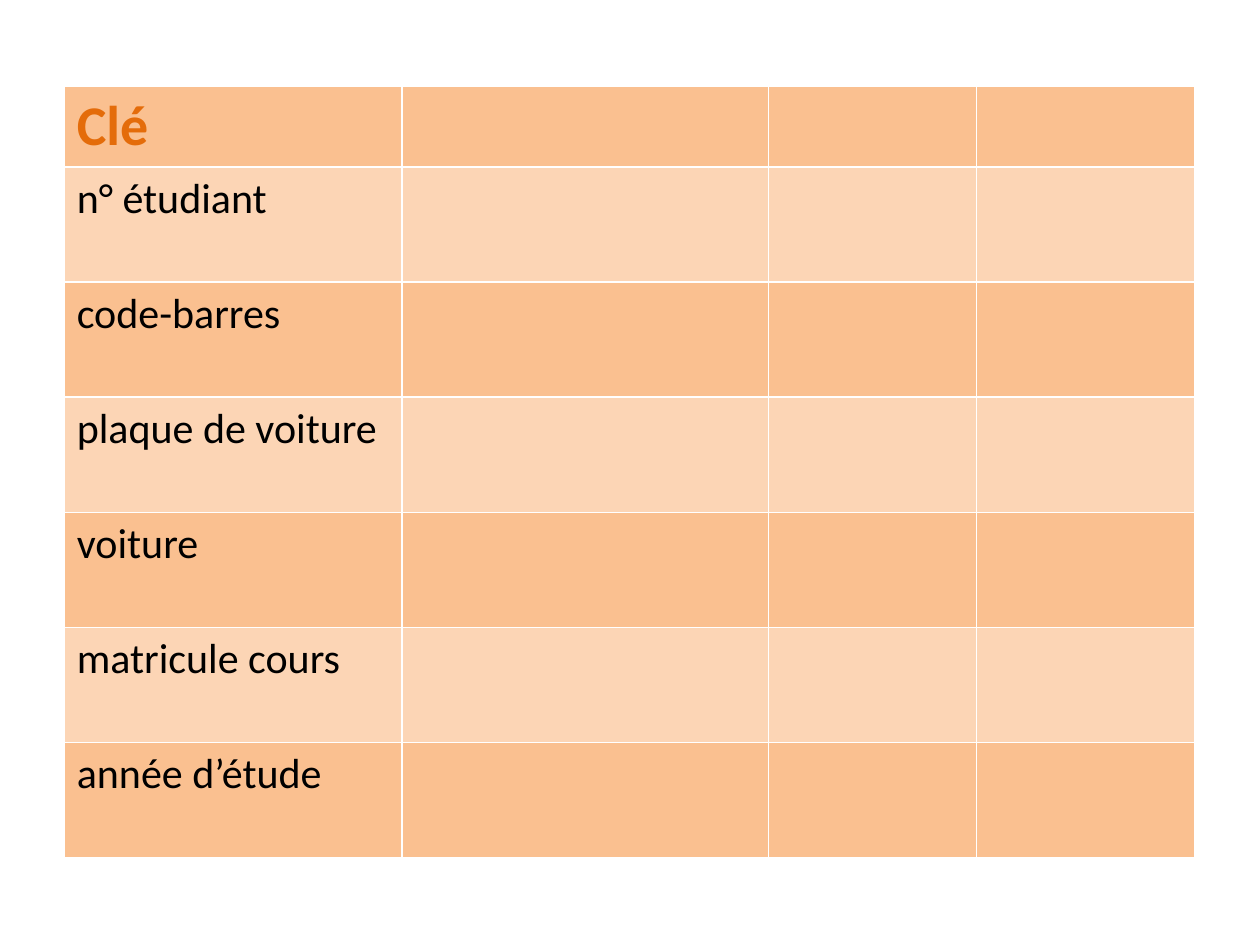
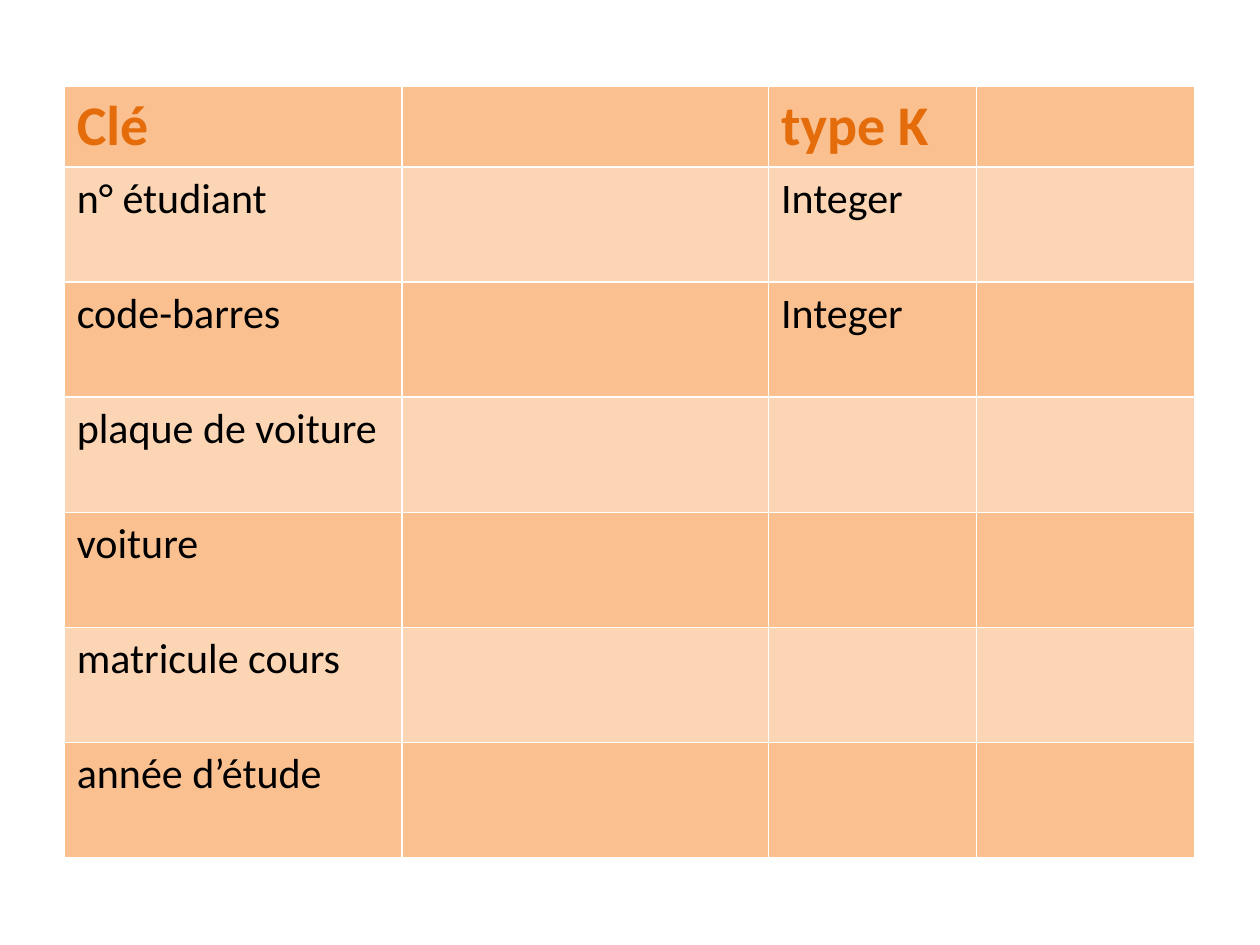
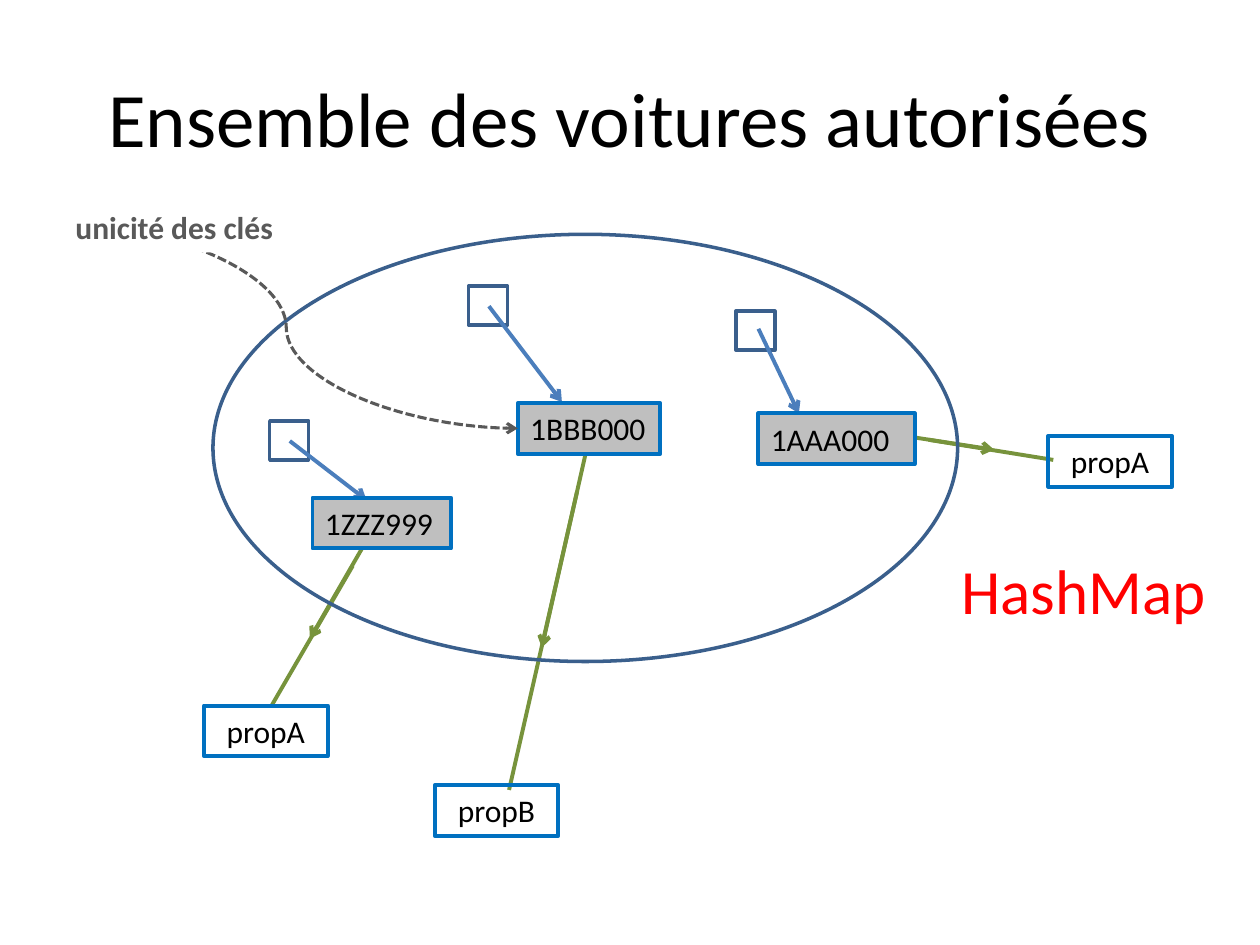
from dataclasses import dataclass

from lxml import etree
from pptx import Presentation
from pptx.dml.color import RGBColor
from pptx.enum.dml import MSO_LINE
from pptx.enum.shapes import MSO_CONNECTOR, MSO_SHAPE
from pptx.enum.text import MSO_ANCHOR, MSO_AUTO_SIZE, PP_ALIGN
from pptx.oxml.ns import qn
from pptx.util import Pt

STRAIGHT, CURVE = MSO_CONNECTOR.STRAIGHT, MSO_CONNECTOR.CURVE
OVAL, RECTANGLE = MSO_SHAPE.OVAL, MSO_SHAPE.RECTANGLE
LEFT, CENTER = PP_ALIGN.LEFT, PP_ALIGN.CENTER
MIDDLE, FIT_SHAPE = MSO_ANCHOR.MIDDLE, MSO_AUTO_SIZE.SHAPE_TO_FIT_TEXT
DASHED = MSO_LINE.SQUARE_DOT
TITLE_ONLY, BLANK = 5, 6

COLORS = {
    "text": "000000",
    "paper": "FFFFFF",
    "header": "E46C0A",
    "dark_band": "FAC090",
    "light_band": "FCD5B5",
    "set": "3A5F8C",
    "pointer": "4B7EBC",
    "link": "77933C",
    "tag_line": "0070C0",
    "plate": "BFBFBF",
    "note": "595959",
    "class": "FF0000",
}
BODY = {"size": 24, "bold": False, "color": "text"}
HEADER = {"size": 32, "bold": True, "color": "header"}
TITLE = {"size": 44, "bold": False, "color": "text"}
TAG = {"size": 18, "bold": False, "color": "text"}
NOTE = {"size": 18, "bold": True, "color": "note"}
CLASS_NAME = {"size": 36, "bold": False, "color": "class"}

TABLE_BOX = (36.7, 49, 646, 441)
COLUMN_WIDTHS = (193, 209.5, 118.8, 124.7)
HEADER_HEIGHT = 46.2
KEYS = ("n° étudiant", "code-barres", "plaque de voiture", "voiture",
        "matricule cours", "année d’étude")

TITLE_BOX = (36, 21.6, 648, 90)
DIAGRAM_ORIGIN = (36, 115.2)
SQUARE_SIDE, TAG_HEIGHT, OWNER_WIDTH = 22.3, 29, 70.6


@dataclass
class Car:
    """Points are relative to the diagram; lines are (x1, y1, x2, y2)."""
    plate: str
    plate_at: tuple
    plate_width: float
    square_at: tuple
    pointer: tuple
    owner: str
    owner_at: tuple
    link_arrow: tuple
    link_line: tuple


CARS = (
    Car("1ZZZ999", (142.6, 169.2), 79.2, (118.1, 125.3),
        (129.6, 136.8, 173.5, 170.6), "propA", (80.6, 288),
        (171.4, 197.3, 141.1, 249.8), (165.6, 208.1, 118.8, 288.7)),
    Car("1BBB000", (259.9, 115.2), 81.4, (231.8, 48.2),
        (243.4, 59.8, 285.1, 114.5), "propB", (212.4, 333.4),
        (298.8, 143.3, 273.6, 254.9), (293.8, 165.6, 254.9, 336.2)),
    Car("1AAA000", (397.4, 121), 89.3, (384.5, 62.6),
        (397.4, 72.7, 420.5, 121), "propA", (563, 133.9),
        (485.3, 134.6, 532.1, 141.8), (494.6, 136.1, 565.9, 147.6)),
)


def rgb(name):
    return RGBColor.from_string(COLORS[name])


def points(values):
    return [Pt(value) for value in values]


def write(frame, text, style, align=LEFT):
    frame.text = text
    paragraph = frame.paragraphs[0]
    paragraph.alignment = align
    font = paragraph.runs[0].font
    formats = {"name": "Calibri", "size": Pt(style["size"]), "bold": style["bold"]}
    for attribute, value in formats.items():
        setattr(font, attribute, value)
    font.color.rgb = rgb(style["color"])


def fill_with(item, color):
    item.fill.solid()
    item.fill.fore_color.rgb = rgb(color)


def outline(item, color, width):
    item.line.color.rgb = rgb(color)
    item.line.width = Pt(width)


def key_table(slide, box, columns):
    """Columns map a column index to its (heading, entries)."""
    left, top, width, height = box
    table = slide.shapes.add_table(len(KEYS) + 1, len(COLUMN_WIDTHS),
                                   *points(box)).table
    for column, column_width in zip(table.columns, COLUMN_WIDTHS):
        column.width = Pt(column_width)
    for index, row in enumerate(table.rows):
        row.height = Pt((height - HEADER_HEIGHT) / len(KEYS) if index else HEADER_HEIGHT)
        for cell in row.cells:
            fill_with(cell, "light_band" if index % 2 else "dark_band")
    for index, (heading, entries) in columns.items():
        write(table.cell(0, index).text_frame, heading, HEADER)
        for row, entry in enumerate(entries, start=1):
            write(table.cell(row, index).text_frame, entry, BODY)


def hollow_shape(slide, kind, box):
    shape = slide.shapes.add_shape(kind, *points(box))
    shape.shadow.inherit = False
    shape.fill.background()
    outline(shape, "set", 2)


def text_box(slide, box, text, style, align=LEFT, wrap=True):
    label = slide.shapes.add_textbox(*points(box))
    label.text_frame.word_wrap = wrap
    label.text_frame.auto_size = FIT_SHAPE
    write(label.text_frame, text, style, align)
    return label


def draw_line(shapes, ends, color, width=2.25, arrow=True, kind=STRAIGHT):
    line = shapes.add_connector(kind, *points(ends))
    outline(line, color, width)
    properties = line._element.spPr
    etree.SubElement(properties, qn("a:effectLst"))
    if arrow:
        etree.SubElement(line.line._get_or_add_ln(), qn("a:tailEnd"), type="arrow")
    return line


def car_set(slide, origin):
    """Set of cars, each plate pointing to its owner."""
    x0, y0 = origin

    def box(x, y, width, height):
        return x0 + x, y0 + y, width, height

    def ends(x1, y1, x2, y2):
        return x0 + x1, y0 + y1, x0 + x2, y0 + y2

    for car in CARS:
        link = slide.shapes.add_group_shape()
        draw_line(link.shapes, ends(*car.link_arrow), "link")
        draw_line(link.shapes, ends(*car.link_line), "link", arrow=False)

    text_box(slide, box(506.2, 196.6, 155.5, 51.1), "HashMap", CLASS_NAME, wrap=False)
    hollow_shape(slide, OVAL, box(85.7, 18.7, 425.5, 244.1))
    for car in CARS:
        hollow_shape(slide, RECTANGLE, box(*car.square_at, SQUARE_SIDE, SQUARE_SIDE))
        draw_line(slide.shapes, ends(*car.pointer), "pointer")
        plate = text_box(slide, box(*car.plate_at, car.plate_width, TAG_HEIGHT),
                         car.plate, TAG)
        fill_with(plate, "plate")
        owner = text_box(slide, box(*car.owner_at, OWNER_WIDTH, TAG_HEIGHT),
                         car.owner, TAG, CENTER)
        for tag in (plate, owner):
            outline(tag, "tag_line", 2.25)

    uniqueness_arrow = draw_line(slide.shapes, ends(6.5, 14.4, 259.9, 129.6),
                                 "note", 1.75, kind=CURVE)
    uniqueness_arrow.line.dash_style = DASHED
    bends = uniqueness_arrow._element.spPr.find(qn("a:prstGeom")).get_or_add_avLst()
    etree.SubElement(bends, qn("a:gd"), name="adj1", fmla="val 47800")
    uniqueness = text_box(slide, box(0, 0, 128.2, TAG_HEIGHT), "unicité des clés",
                          NOTE, wrap=False)
    fill_with(uniqueness, "paper")


def slide_title(slide, box, text):
    title = slide.shapes.title
    for attribute, value in zip(("left", "top", "width", "height"), points(box)):
        setattr(title, attribute, value)
    title.text_frame.vertical_anchor = MIDDLE
    write(title.text_frame, text, TITLE, CENTER)


def main():
    deck = Presentation()
    deck.slide_width, deck.slide_height = Pt(720), Pt(540)

    key_column = {0: ("Clé", KEYS)}
    type_column = {2: ("type K", ("Integer", "Integer"))}
    for columns in (key_column, key_column | type_column):
        slide = deck.slides.add_slide(deck.slide_layouts[BLANK])
        key_table(slide, TABLE_BOX, columns)

    slide = deck.slides.add_slide(deck.slide_layouts[TITLE_ONLY])
    slide_title(slide, TITLE_BOX, "Ensemble des voitures autorisées")
    car_set(slide, DIAGRAM_ORIGIN)
    deck.save("out.pptx")


if __name__ == "__main__":
    main()
